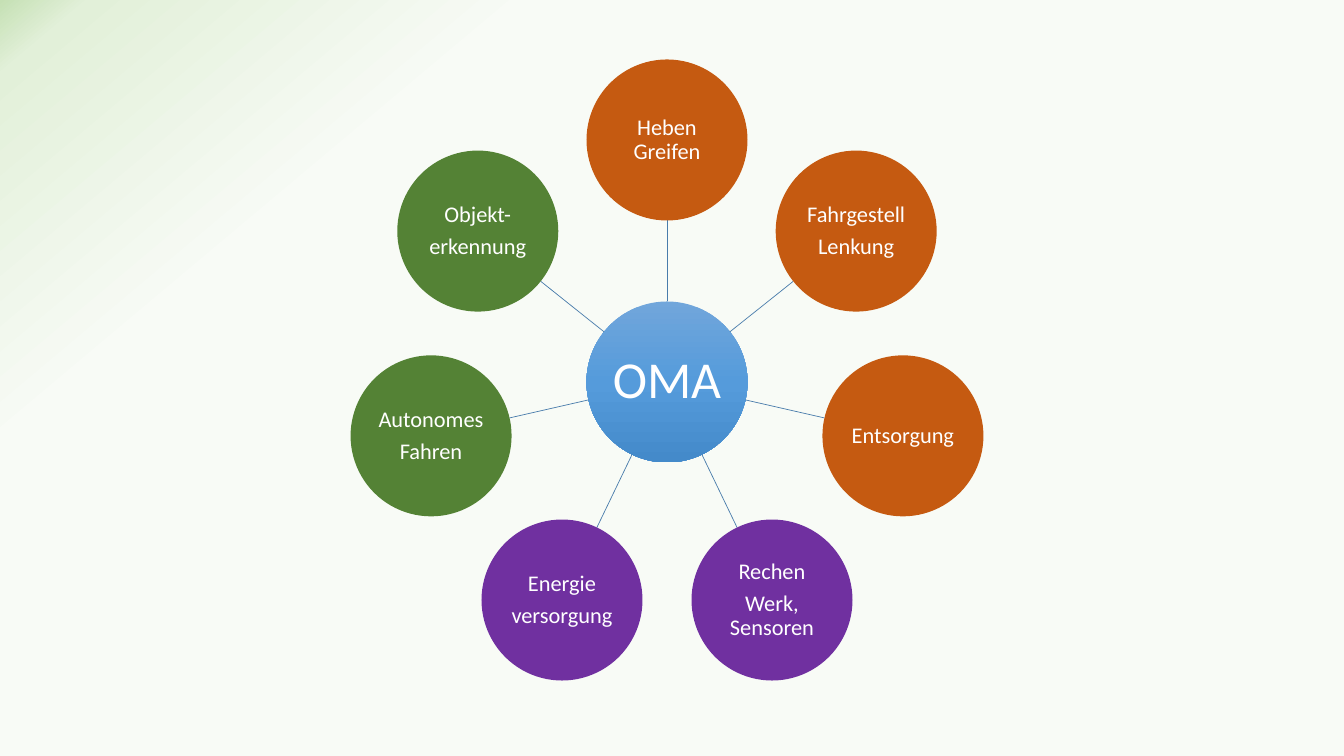
from math import cos, sin, tau

from lxml.etree import SubElement
from pptx import Presentation
from pptx.dml.color import RGBColor as RGB
from pptx.enum.shapes import MSO_CONNECTOR as LINK, MSO_SHAPE as SHAPE
from pptx.enum.text import MSO_ANCHOR as ANCHOR, PP_ALIGN as ALIGN
from pptx.oxml.ns import qn
from pptx.util import Emu, Pt

WIDE, HIGH = 1344, 756
SCALE = 12192000 / WIDE
MID_X, MID_Y = 667, 382
SIZE = 161
RING = 242

WHITE = RGB(0xFF, 0xFF, 0xFF)
RUST = RGB(0xC5, 0x5A, 0x11)
PURPLE = RGB(0x70, 0x30, 0xA0)
GREEN = RGB(0x54, 0x82, 0x35)
STEEL = RGB(0x49, 0x7C, 0xAB)
HUB = [(0, RGB(0x71, 0xA6, 0xDB)), (50, RGB(0x55, 0x9B, 0xDB)),
       (100, RGB(0x44, 0x8A, 0xCA))]
MEADOW = [(0, RGB(0xC5, 0xE0, 0xB4)), (4, RGB(0xE2, 0xF0, 0xD9)),
          (24, RGB(0xF8, 0xFB, 0xF6))]

# Clockwise from the top
TOPICS = [
    (["Heben Greifen"], RUST),
    (["Fahrgestell", "Lenkung"], RUST),
    (["Entsorgung"], RUST),
    (["Rechen", "Werk, Sensoren"], PURPLE),
    (["Energie", "versorgung"], PURPLE),
    (["Autonomes", "Fahren"], GREEN),
    (["Objekt-", "erkennung"], GREEN),
]


def px(value):
    return Emu(round(value * SCALE))


def shade(fill, owner, stops, angle):
    """Give the fill of owner a linear gradient, angle clockwise."""
    fill.gradient()
    fill.gradient_angle = 360 - angle
    tints = next(owner.element.iter(qn("a:gsLst")))
    for old in list(tints):
        tints.remove(old)
    for place, color in stops:
        stop = SubElement(tints, qn("a:gs"), pos=str(place * 1000))
        SubElement(stop, qn("a:srgbClr"), val=str(color))


def write(shape, lines, size=16, color=WHITE, inset=1, wrap=True):
    frame = shape.text_frame
    frame.word_wrap = wrap
    frame.vertical_anchor = ANCHOR.MIDDLE
    frame.margin_left = frame.margin_right = px(inset)
    frame.margin_top = frame.margin_bottom = px(inset)
    frame.text = "\n".join(lines)
    for para in frame.paragraphs:
        para.alignment = ALIGN.CENTER
        para.line_spacing = 0.9
        para.space_after = Pt(size * 0.35)
        para.font.name = "Calibri"
        para.font.size = Pt(size)
        para.font.color.rgb = color


def disc(slide, x, y):
    """Add a plain circle centred on x, y."""
    shape = slide.shapes.add_shape(
        SHAPE.OVAL, px(x - SIZE / 2), px(y - SIZE / 2), px(SIZE), px(SIZE))
    shape.shadow.inherit = False
    shape.line.fill.background()
    return shape


def polar(turn, reach):
    return MID_X + reach * cos(turn), MID_Y + reach * sin(turn)


def spoke(slide, turn):
    """Join the rim of the hub to the rim of an outer disc."""
    start, end = polar(turn, SIZE / 2), polar(turn, RING - SIZE / 2)
    line = slide.shapes.add_connector(
        LINK.STRAIGHT, *(px(value) for value in start + end))
    line.line.color.rgb = STEEL
    line.line.width = Pt(0.5)
    SubElement(line.element.spPr, qn("a:effectLst"))


def main():
    deck = Presentation()
    deck.slide_width, deck.slide_height = px(WIDE), px(HIGH)
    slide = deck.slides.add_slide(deck.slide_layouts[6])
    shade(slide.background.fill, slide, MEADOW, 50)

    hub = disc(slide, MID_X, MID_Y)
    shade(hub.fill, hub, HUB, 90)
    write(hub, ["OMA"], size=37, inset=0, wrap=False)

    for step, (lines, color) in enumerate(TOPICS):
        turn = tau * (step / len(TOPICS) - 0.25)
        spoke(slide, turn)
        topic = disc(slide, *polar(turn, RING))
        topic.fill.solid()
        topic.fill.fore_color.rgb = color
        write(topic, lines)

    deck.save("out.pptx")


if __name__ == "__main__":
    main()
